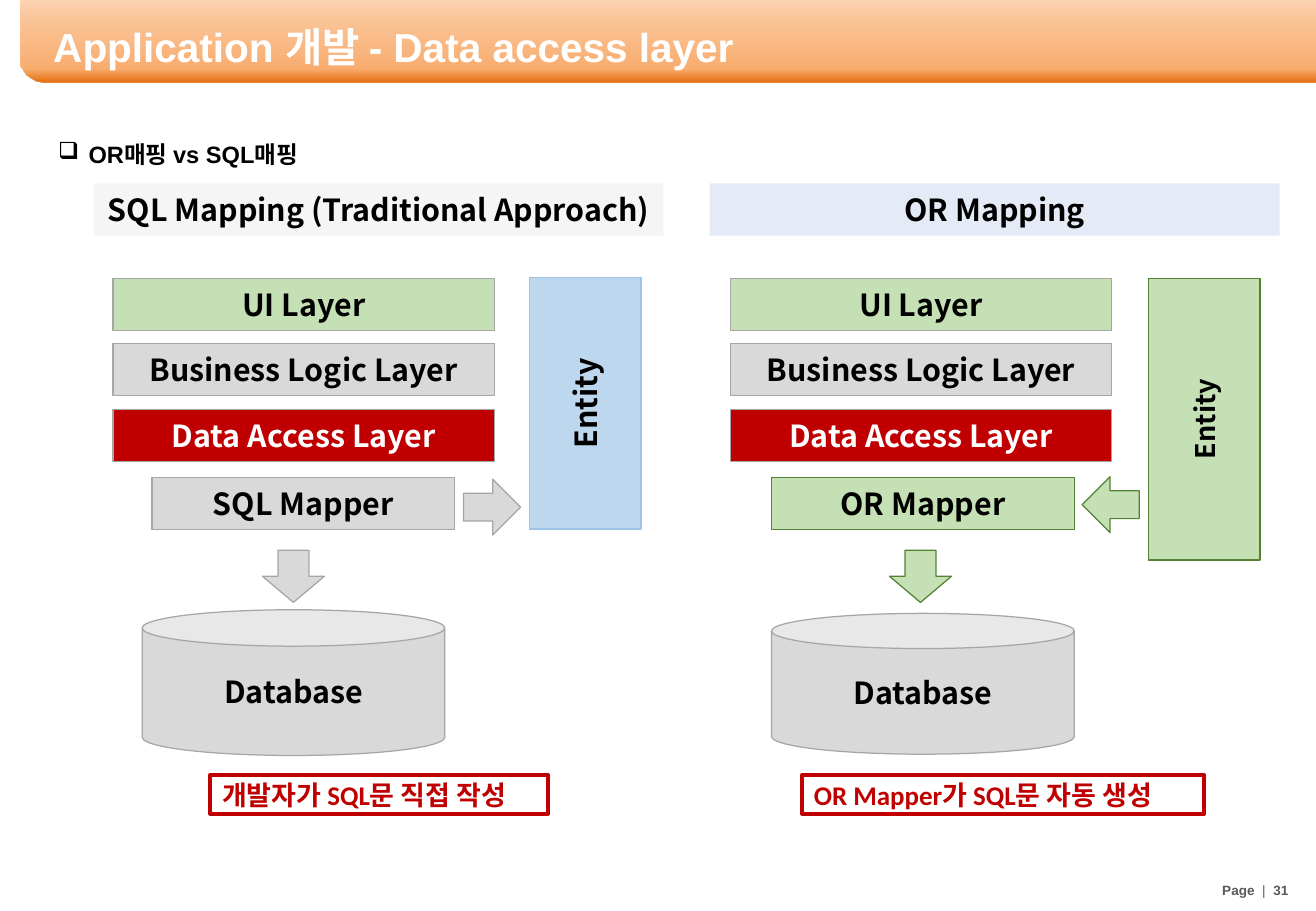
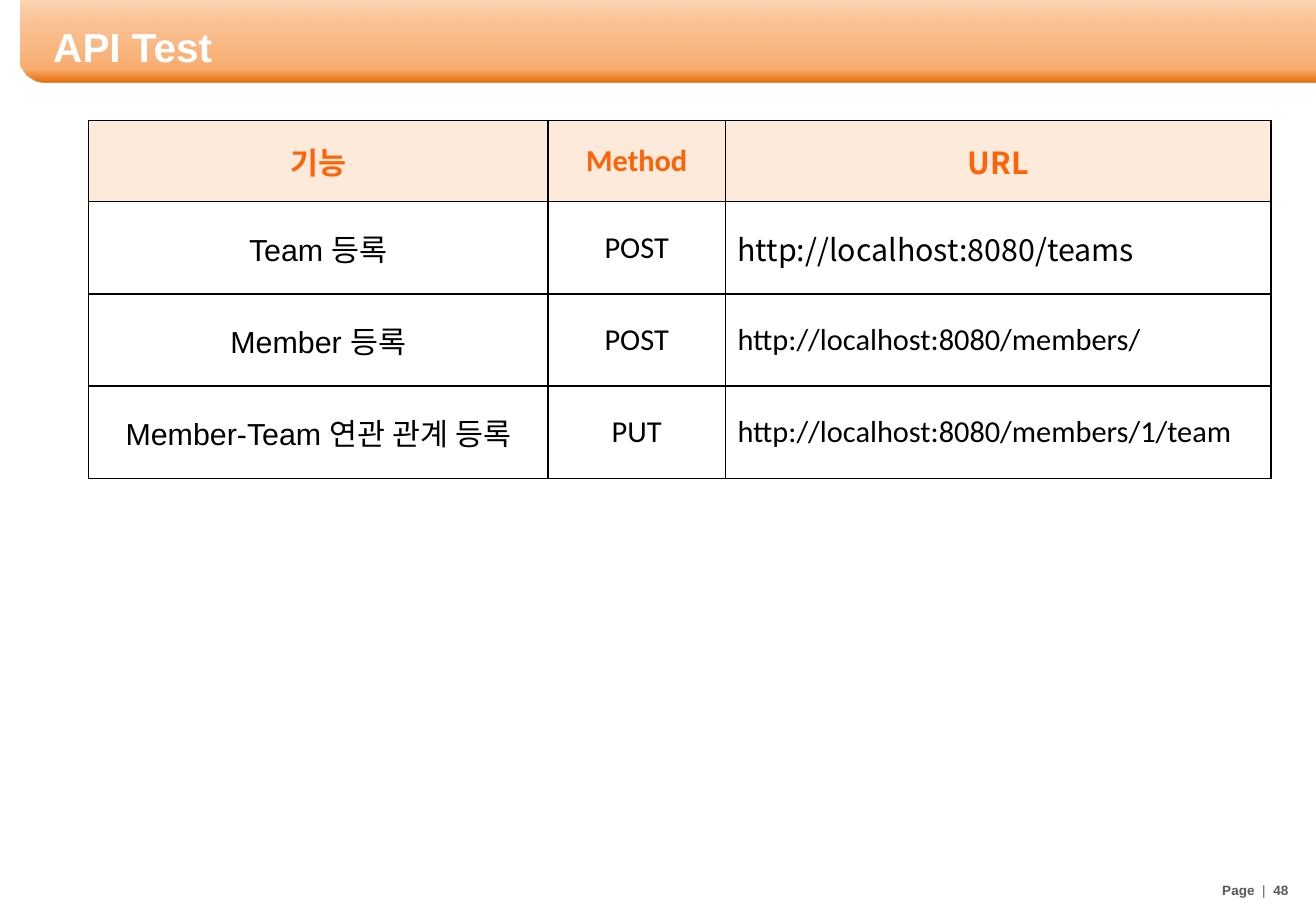
from dataclasses import dataclass

from lxml import etree
from pptx import Presentation
from pptx.dml.color import RGBColor
from pptx.enum.shapes import MSO_SHAPE
from pptx.enum.text import MSO_ANCHOR, PP_ALIGN
from pptx.oxml.ns import qn
from pptx.util import Pt

PX = 9144  # 100 px to the inch
RECTANGLE, CAN, DOWN_ARROW = MSO_SHAPE.RECTANGLE, MSO_SHAPE.CAN, MSO_SHAPE.DOWN_ARROW
LEFT, CENTER = PP_ALIGN.LEFT, PP_ALIGN.CENTER
MIDDLE = MSO_ANCHOR.MIDDLE


@dataclass(frozen=True)
class Theme:
    sans: str = "Arial"
    body: str = "Calibri"
    korean: str = "Noto Sans CJK KR"
    title_size: int = 24
    label_size: int = 18
    note_size: int = 16
    bullet_size: int = 14
    footer_size: int = 8
    white: str = "FFFFFF"
    black: str = "000000"
    footer: str = "595959"
    gray: str = "D9D9D9"
    gray_line: str = "A6A6A6"
    green: str = "C5E0B4"
    green_line: str = "548235"
    blue: str = "BDD7EE"
    blue_line: str = "9DC3E6"
    red: str = "C00000"
    sql_header: str = "F2F2F2"
    or_header: str = "DAE3F3"
    table_header: str = "FDEADA"
    table_header_text: str = "FF6307"
    # position, colour, opacity in percent
    band: tuple = ((0, "FCD5B5", 100), (26, "FAC090", 93), (83, "F9AD6F", 100), (100, "E46C0A", 100))


THEME = Theme()


@dataclass(frozen=True)
class Panel:
    """One mapping approach; boxes are (left, top, width, height)."""
    heading: str
    header_left: int
    header_fill: str
    layers_left: int
    mapper_name: str
    mapper_left: int
    accent: tuple
    database: tuple
    entity: tuple
    entity_colors: tuple
    entity_size: int
    down_left: int
    side_arrow: tuple
    side_rotation: int
    note: str
    note_box: tuple


GRAY = (THEME.gray, THEME.gray_line)
GREEN = (THEME.green, THEME.green_line)
BLUE = (THEME.blue, THEME.blue_line)
LAYERS = (
    ("UI Layer", THEME.green, THEME.black),
    ("Business Logic Layer", THEME.gray, THEME.black),
    ("Data Access Layer", THEME.red, THEME.white),
)
PANELS = (
    Panel("SQL Mapping (Traditional Approach)", 77, THEME.sql_header, 93,
          "SQL Mapper", 125, GRAY, (117, 502, 249, 120),
          (378, 286, 207, 92), BLUE, THEME.label_size,
          216, (382, 394, 46, 47), 270,
          "개발자가 SQL문 직접 작성", (173, 638, 278, 32)),
    Panel("OR Mapping", 584, THEME.or_header, 601,
          "OR Mapper", 635, GREEN, (635, 505, 249, 116),
          (875, 299, 232, 92), GREEN, THEME.note_size,
          732, (891, 392, 46, 47), 90,
          "OR Mapper가 SQL문 자동 생성", (660, 638, 331, 32)),
)
API_COLUMNS = (378, 146, 449)
API_ROWS = (
    ("기능", "Method", "URL"),
    ("Team 등록", "POST", "http://localhost:8080/teams"),
    ("Member 등록", "POST", "http://localhost:8080/members/"),
    ("Member-Team 연관 관계 등록", "PUT", "http://localhost:8080/members/1/team"),
)
HEADER_FONTS = (THEME.korean, THEME.body, THEME.korean)
ROW_FONTS = (THEME.sans, THEME.body, THEME.body)


def emu(lengths):
    return [length * PX for length in lengths]


def rgb(color):
    return RGBColor.from_string(color)


def format_run(run, font_name, size, color, bold=False):
    font = run.font
    font.size, font.bold, font.name = Pt(size), bold, font_name
    font.color.rgb = rgb(color)
    east_asian = etree.SubElement(run._r.get_or_add_rPr(), qn("a:ea"))
    east_asian.set("typeface", THEME.korean)


def write(text_frame, text, font_name, size, color, bold=True, align=LEFT):
    text_frame.text = text
    paragraph = text_frame.paragraphs[0]
    paragraph.alignment = align
    format_run(paragraph.runs[0], font_name, size, color, bold)
    return paragraph


def add_text_box(slide, box):
    text_frame = slide.shapes.add_textbox(*emu(box)).text_frame
    text_frame.word_wrap = True
    text_frame.vertical_anchor = MIDDLE
    return text_frame


def add_block(slide, kind, box, fill=None, line=None, line_width=0.75, rotation=0):
    shape = slide.shapes.add_shape(kind, *emu(box))
    shape.shadow.inherit = False
    shape.rotation = rotation
    if fill:
        shape.fill.solid()
        shape.fill.fore_color.rgb = rgb(fill)
    else:
        shape.fill.background()
    if line:
        shape.line.color.rgb = rgb(line)
        shape.line.width = Pt(line_width)
    else:
        shape.line.fill.background()
    return shape


def label(shape, text, color=THEME.black, size=THEME.label_size):
    text_frame = shape.text_frame
    text_frame.word_wrap = False
    text_frame.vertical_anchor = MIDDLE
    write(text_frame, text, THEME.korean, size, color, align=CENTER)


def set_opacity(color_element, percent):
    etree.SubElement(color_element, qn("a:alpha")).set("val", str(percent * 1000))


def bezier(points, steps=16):
    """Points along a cubic curve, without its start."""
    for step in range(1, steps + 1):
        t = step / steps
        weights = ((1 - t) ** 3, 3 * t * (1 - t) ** 2, 3 * t ** 2 * (1 - t), t ** 3)
        yield tuple(sum(w * p[axis] for w, p in zip(weights, points)) for axis in (0, 1))


def add_band(slide):
    corner = ((40, 68), (27, 68), (17, 60), (17, 51))
    builder = slide.shapes.build_freeform(17, 0, scale=PX)
    builder.add_line_segments([(1083, 0), (1083, 68), corner[0], *bezier(corner)])
    band = builder.convert_to_shape()
    band.shadow.inherit = False
    band.line.fill.background()
    band.fill.gradient()
    band.fill.gradient_angle = 270
    stops = band.element.find(".//" + qn("a:gsLst"))
    for stop in list(stops):
        stops.remove(stop)
    for position, color, opacity in THEME.band:
        stop = etree.SubElement(stops, qn("a:gs"))
        stop.set("pos", str(position * 1000))
        color_element = etree.SubElement(stop, qn("a:srgbClr"))
        color_element.set("val", color)
        if opacity < 100:
            set_opacity(color_element, opacity)


def add_footer(slide, page):
    paragraph = add_text_box(slide, (996, 719, 85, 27)).paragraphs[0]
    for text, bold in (("Page  ", True), ("|  ", False), (str(page), True)):
        run = paragraph.add_run()
        run.text = text
        format_run(run, THEME.sans, THEME.footer_size, THEME.footer, bold)


def add_slide(presentation, title, page):
    slide = presentation.slides.add_slide(presentation.slide_layouts[6])
    add_footer(slide, page)
    add_band(slide)
    write(add_text_box(slide, (34, 13, 1036, 51)), title,
          THEME.sans, THEME.title_size, THEME.white)
    return slide


def add_bullet(slide, box, text):
    paragraph = write(add_text_box(slide, box), text,
                      THEME.sans, THEME.bullet_size, THEME.black)
    properties = paragraph._p.get_or_add_pPr()
    properties.set("marL", str(25 * PX))
    properties.set("indent", str(-25 * PX))
    etree.SubElement(properties, qn("a:buChar")).set("char", "❑")


def add_panel(slide, panel):
    header = add_block(slide, RECTANGLE, (panel.header_left, 151, 469, 43), panel.header_fill)
    set_opacity(header.element.find(".//" + qn("a:srgbClr")), 70)
    label(header, panel.heading)

    for index, (name, fill, color) in enumerate(LAYERS):
        box = (panel.layers_left, 229 + 54 * index, 314, 43)
        label(add_block(slide, RECTANGLE, box, fill, THEME.gray_line), name, color)

    mapper = add_block(slide, RECTANGLE, (panel.mapper_left, 393, 249, 43), *panel.accent)
    label(mapper, panel.mapper_name)
    label(add_block(slide, CAN, panel.database, *GRAY), "Database")
    entity = add_block(slide, RECTANGLE, panel.entity, *panel.entity_colors, rotation=270)
    label(entity, "Entity", size=panel.entity_size)

    add_block(slide, DOWN_ARROW, (panel.down_left, 453, 51, 43), *panel.accent)
    add_block(slide, DOWN_ARROW, panel.side_arrow, *panel.accent, rotation=panel.side_rotation)

    note = add_block(slide, RECTANGLE, panel.note_box, line=THEME.red, line_width=2.25)
    note.text_frame.vertical_anchor = MIDDLE
    write(note.text_frame, panel.note, THEME.body, THEME.note_size, THEME.red)


def add_borders(cell):
    properties = cell._tc.get_or_add_tcPr()
    for side in ("a:lnL", "a:lnR", "a:lnT", "a:lnB"):
        line = etree.SubElement(properties, qn(side))
        line.set("w", str(Pt(1)))
        fill = etree.SubElement(line, qn("a:solidFill"))
        etree.SubElement(fill, qn("a:srgbClr")).set("val", THEME.black)


def fill_cell(cell, text, font_name, is_header, align):
    add_borders(cell)
    cell.vertical_anchor = MIDDLE
    if is_header:
        cell.fill.solid()
        cell.fill.fore_color.rgb = rgb(THEME.table_header)
    else:
        cell.fill.background()
    color = THEME.table_header_text if is_header else THEME.black
    write(cell.text_frame, text, font_name, THEME.label_size, color, is_header, align)


def add_api_table(slide):
    frame = slide.shapes.add_table(len(API_ROWS), len(API_COLUMNS),
                                   *emu((73, 99, sum(API_COLUMNS), 295)))
    table = frame.table
    table.first_row = table.horz_banding = False
    for column, width in zip(table.columns, API_COLUMNS):
        column.width = width * PX
    for row_index, texts in enumerate(API_ROWS):
        is_header = row_index == 0
        table.rows[row_index].height = (67 if is_header else 76) * PX
        fonts = HEADER_FONTS if is_header else ROW_FONTS
        for column_index, text in enumerate(texts):
            is_url = column_index == 2 and not is_header
            font_name = THEME.korean if is_url and row_index == 1 else fonts[column_index]
            fill_cell(table.cell(row_index, column_index), text, font_name,
                      is_header, LEFT if is_url else CENTER)


def main():
    presentation = Presentation()
    presentation.slide_width, presentation.slide_height = emu((1083, 750))

    mapping = add_slide(presentation, "Application 개발 - Data access layer", 31)
    add_bullet(mapping, (38, 99, 1008, 55), "OR매핑 vs SQL매핑")
    for panel in PANELS:
        add_panel(mapping, panel)

    add_api_table(add_slide(presentation, "API Test", 48))
    presentation.save("out.pptx")


if __name__ == "__main__":
    main()
